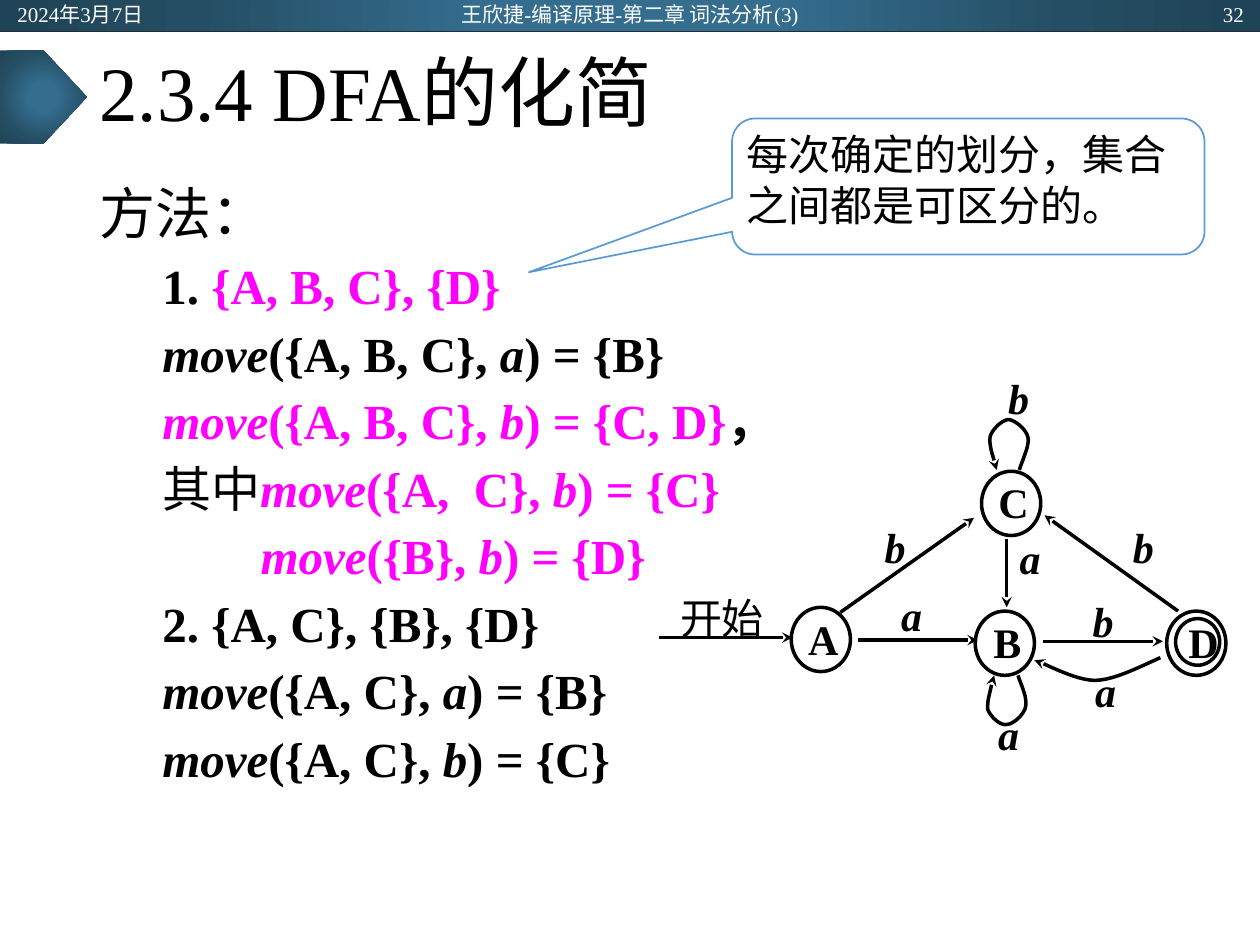
from dataclasses import dataclass

from lxml.etree import SubElement
from pptx import Presentation
from pptx.dml.color import RGBColor
from pptx.enum.shapes import MSO_CONNECTOR, MSO_SHAPE
from pptx.enum.text import MSO_ANCHOR, PP_ALIGN
from pptx.oxml import parse_xml
from pptx.oxml.ns import nsdecls, qn
from pptx.util import Inches, Pt


@dataclass(frozen=True)
class Theme:
    font: str = "Times New Roman"
    ink: str = "000000"
    paper: str = "FFFFFF"
    pink: str = "FF00FF"
    blue: str = "5B9BD5"
    rule: str = "222A35"
    title: int = 44
    head: int = 32
    body: int = 28
    label: int = 24
    small: int = 12
    grad: tuple = ((0, "346D8E"), (23, "346D8E"), (69, "254E64"), (97, "204457"))


T = Theme()
LEFT, MID, RIGHT = PP_ALIGN.LEFT, PP_ALIGN.CENTER, PP_ALIGN.RIGHT
WIDE = (0.1, 0.05, 0.1, 0.05)
TIGHT = (0.06, 0.03, 0.06, 0.03)
NODE = (0.47, 0.51)
GRID = 1000  # freeform units to the inch


def rgb(code):
    return RGBColor.from_string(code)


def write(para, text, size=T.label, color=T.ink, bold=False, italic=False):
    run = para.add_run()
    run.text = text
    font = run.font
    font.name, font.size, font.bold, font.italic = T.font, Pt(size), bold, italic
    font.color.rgb = rgb(color)


def setup(frame, inset=WIDE, anchor=MSO_ANCHOR.MIDDLE):
    frame.word_wrap = True
    frame.vertical_anchor = anchor
    (frame.margin_left, frame.margin_top,
     frame.margin_right, frame.margin_bottom) = map(Inches, inset)
    return frame


def label(slide, box, text, align=MID, inset=TIGHT, space=None, **style):
    frame = setup(slide.shapes.add_textbox(*map(Inches, box)).text_frame, inset)
    para = frame.paragraphs[0]
    para.alignment = align
    para.line_spacing = space
    write(para, text, **style)


def plain(slide, kind, box):
    shape = slide.shapes.add_shape(kind, *map(Inches, box))
    shape.shadow.inherit = False
    return shape


def outline(line, color=T.ink, width=2):
    line.color.rgb = rgb(color)
    line.width = Pt(width)


def glow(slide, kind, box):
    """Add a shape with a radial gradient and no outline."""
    shape = plain(slide, kind, box)
    shape.line.fill.background()
    stops = "".join(f'<a:gs pos="{pos * 1000}"><a:srgbClr val="{code}"/></a:gs>'
                    for pos, code in T.grad)
    fill = parse_xml(
        f'<a:gradFill {nsdecls("a")} rotWithShape="1"><a:gsLst>{stops}</a:gsLst>'
        '<a:path path="circle"><a:fillToRect l="50000" t="50000" r="50000" '
        'b="50000"/></a:path></a:gradFill>')
    shape._element.spPr.find(qn("a:prstGeom")).addnext(fill)


def arrow(line):
    SubElement(line._get_or_add_ln(), qn("a:tailEnd")).set("type", "stealth")


def link(slide, start, end, color=T.ink, width=2, head=True):
    edge = slide.shapes.add_connector(
        MSO_CONNECTOR.STRAIGHT, *map(Inches, (*start, *end)))
    outline(edge.line, color, width)
    if head:
        arrow(edge.line)
    SubElement(edge._element.spPr, qn("a:effectLst"))


def curve(slide, start, *parts, steps=12):
    """Draw an arrow along cubic curves; each part is two controls and an end."""
    dots, last = [], start
    for part in parts:
        for step in range(1, steps + 1):
            t = step / steps
            u = 1 - t
            mix = (u ** 3, 3 * u * u * t, 3 * u * t * t, t ** 3)
            dots.append(tuple(GRID * sum(m * p[axis] for m, p in zip(mix, (last, *part)))
                              for axis in (0, 1)))
        last = part[-1]
    pen = slide.shapes.build_freeform(*(GRID * v for v in start),
                                      scale=Inches(1) / GRID)
    pen.add_line_segments(dots, close=False)
    shape = pen.convert_to_shape()
    shape.shadow.inherit = False
    shape.fill.background()
    outline(shape.line)
    arrow(shape.line)


def node(slide, box, name="", inset=(0.06, 0.03, 0.02, 0.05)):
    ring = plain(slide, MSO_SHAPE.OVAL, box)
    ring.fill.background()
    outline(ring.line)
    if name:
        para = setup(ring.text_frame, inset).paragraphs[0]
        para.alignment = MID
        write(para, name, bold=True)


def move(group, sign, result, color=T.ink):
    return [("move", color, True, True), (f"({{{group}}}, ", color, True, False),
            (sign, color, True, True), (f") = {{{result}}}", color, True, False)]


def steps(slide):
    box = slide.shapes.add_textbox(*map(Inches, (0.69, 1.38, 8.62, 5.38)))
    frame = setup(box.text_frame, (0.1, 0.1, 0.1, 0.05), MSO_ANCHOR.TOP)
    first = frame.paragraphs[0]
    first.line_spacing = 0.9
    write(first, "方法：", size=T.head)
    rows = [
        (0.5, [("1. ", T.ink, True, False), ("{A, B, C}, {D}", T.pink, True, False)]),
        (0.5, move("A, B, C", "a", "B")),
        (0.5, move("A, B, C", "b", "C, D", T.pink) + [("，", T.ink, True, False)]),
        (0.5, [("其中", T.ink, False, False)] + move("A,  C", "b", "C", T.pink)),
        (1.28, move("B", "b", "D", T.pink)),
        (0.5, [("2. {A, C}, {B}, {D}", T.ink, True, False)]),
        (0.5, move("A, C", "a", "B")),
        (0.5, move("A, C", "b", "C")),
    ]
    for indent, runs in rows:
        para = frame.add_paragraph()
        para._p.get_or_add_pPr().set("marL", str(Inches(indent)))
        para.space_before = Pt(5)
        para.line_spacing = Pt(33.6)
        for text, color, bold, italic in runs:
            write(para, text, T.body, color, bold, italic)


def graph(slide):
    for name, x, y in (("A", 6.28, 4.82), ("B", 7.74, 4.85),
                       ("C", 7.79, 3.74), ("", 9.26, 4.85)):
        node(slide, (x, y, *NODE), name)
    node(slide, (9.33, 4.91, 0.35, 0.37), "D", (0.05, 0, 0.01, 0))
    for start, end in (((5.23, 5.06), (6.29, 5.06)), ((6.81, 5.08), (7.76, 5.08)),
                       ((8.28, 5.09), (9.23, 5.09)), ((6.67, 4.86), (7.73, 4.11)),
                       ((7.99, 4.28), (7.99, 4.82)), ((9.35, 4.85), (8.29, 4.09))):
        link(slide, start, end)
    curve(slide, (8.09, 3.73),
          ((8.1, 3.69), (8.17, 3.54), (8.16, 3.48)),
          ((8.15, 3.41), (8.06, 3.34), (8.01, 3.33)),
          ((7.96, 3.33), (7.88, 3.4), (7.86, 3.46)),
          ((7.84, 3.53), (7.9, 3.67), (7.91, 3.73)))
    curve(slide, (8.08, 5.36),
          ((8.09, 5.4), (8.16, 5.54), (8.14, 5.61)),
          ((8.13, 5.67), (8.04, 5.75), (7.99, 5.75)),
          ((7.94, 5.76), (7.86, 5.69), (7.84, 5.63)),
          ((7.83, 5.56), (7.88, 5.41), (7.89, 5.36)))
    curve(slide, (9.21, 5.22),
          ((9.13, 5.25), (8.86, 5.4), (8.69, 5.4)),
          ((8.53, 5.4), (8.31, 5.27), (8.21, 5.24)))
    label(slide, (5.32, 4.66, 0.82, 0.48), "开始")
    for sign, x, y in (("a", 7.04, 4.67), ("a", 7.81, 5.62), ("b", 8.56, 4.72),
                       ("b", 6.91, 4.13), ("a", 8.58, 5.28), ("b", 7.89, 2.95),
                       ("b", 8.88, 4.13), ("a", 7.98, 4.22)):
        label(slide, (x, y, 0.39, 0.41), sign, bold=True, italic=True)


def callout(slide, box, text):
    shape = plain(slide, MSO_SHAPE.ROUNDED_RECTANGULAR_CALLOUT, box)
    for index, value in enumerate((-0.93, 0.63, 0.17)):
        shape.adjustments[index] = value
    shape.fill.solid()
    shape.fill.fore_color.rgb = rgb(T.paper)
    outline(shape.line, T.blue, 1)
    para = setup(shape.text_frame, TIGHT, MSO_ANCHOR.TOP).paragraphs[0]
    para.alignment = LEFT
    write(para, text)


def main():
    deck = Presentation()
    deck.slide_width, deck.slide_height = Inches(10), Inches(7.5)
    slide = deck.slides.add_slide(deck.slide_layouts[6])
    glow(slide, MSO_SHAPE.RECTANGLE, (0, 0, 10, 0.25))
    link(slide, (0, 0.25), (10, 0.25), T.rule, 0.5, head=False)
    glow(slide, MSO_SHAPE.PENTAGON, (0, 0.4, 0.69, 0.74))
    label(slide, (0.69, 0.25, 8.62, 1.04), "2.3.4 DFA的化简", LEFT, WIDE,
          space=0.9, size=T.title)
    steps(slide)
    graph(slide)
    callout(slide, (5.81, 0.94, 3.75, 1.08), "每次确定的划分，集合之间都是可区分的。")
    for x, width, text, align in (
            (0.04, 2.25, "2024年3月7日", LEFT),
            (3.31, 3.38, "王欣捷-编译原理-第二章 词法分析(3)", MID),
            (7.72, 2.25, "32", RIGHT)):
        label(slide, (x, 0.01, width, 0.2), text, align, WIDE,
              size=T.small, color=T.paper)
    deck.save("out.pptx")


if __name__ == "__main__":
    main()
